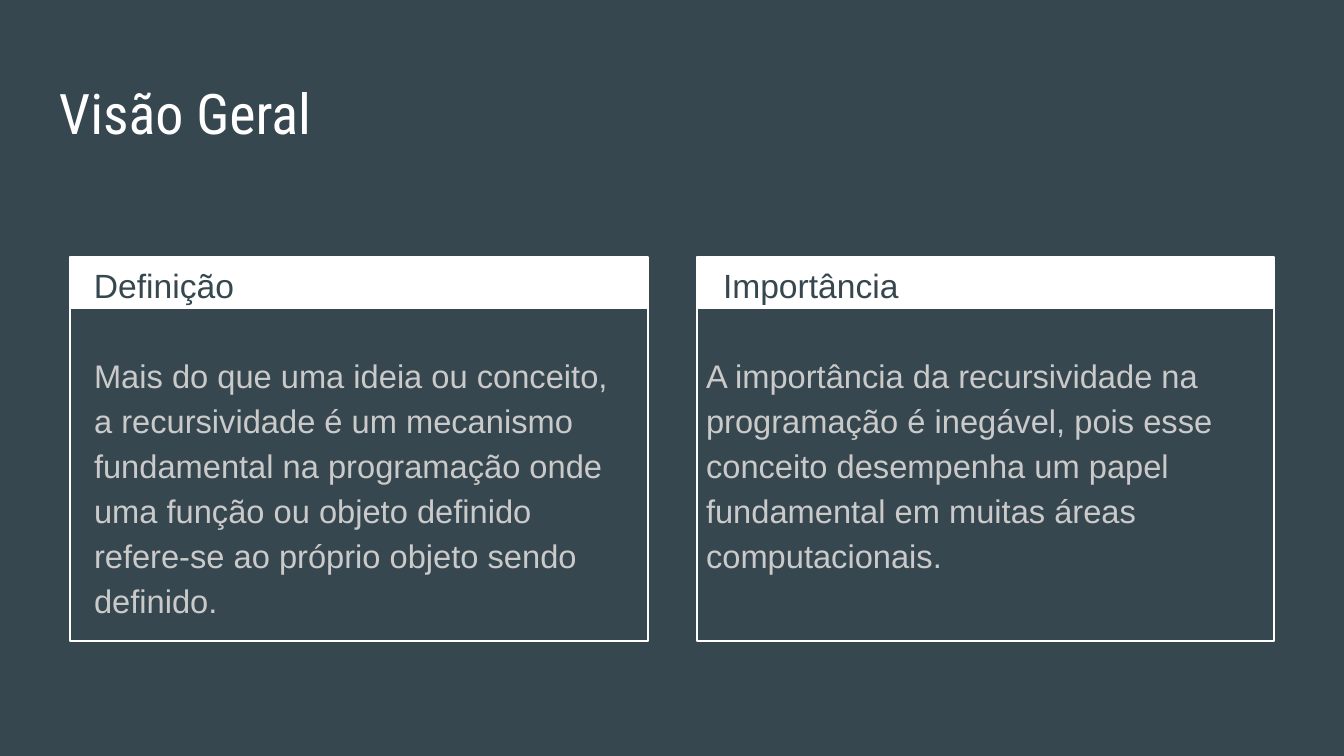
from pptx import Presentation
from pptx.dml.color import RGBColor
from pptx.enum.shapes import MSO_SHAPE
from pptx.enum.text import MSO_ANCHOR
from pptx.util import Emu, Pt

PX = 914400 / 134.4
COLORS = {"background": "37474F", "white": "FFFFFF", "body": "CACACA"}

TITLE = "Visão Geral"
# The x positions and widths are in px.
CARDS = [
    {
        "heading": "Definição",
        "body": "Mais do que uma ideia ou conceito, a recursividade é um mecanismo "
                "fundamental na programação onde uma função ou objeto definido "
                "refere-se ao próprio objeto sendo definido.",
        "x": 70, "width": 578, "heading_x": 81, "heading_width": 367, "body_x": 81,
    },
    {
        "heading": "Importância",
        "body": "A importância da recursividade na programação é inegável, pois esse "
                "conceito desempenha um papel fundamental em muitas áreas "
                "computacionais.",
        "x": 697, "width": 577, "heading_x": 710, "heading_width": 491, "body_x": 693,
    },
]
CARD_TOP, CARD_HEIGHT, BAND_HEIGHT = 257, 384, 52
HEADING_HEIGHT = 50
BODY_TOP, BODY_WIDTH = 337, 566
INSET = 13


def px(length):
    return Emu(round(length * PX))


def color(name):
    return RGBColor.from_string(COLORS[name])


def add_text(slide, text, box, size, color_name, font="Arial",
             anchor=MSO_ANCHOR.TOP, line_spacing=None, space_after=None):
    frame = slide.shapes.add_textbox(*map(px, box)).text_frame
    frame.word_wrap = True
    frame.vertical_anchor = anchor
    frame.margin_left = frame.margin_right = px(INSET)
    frame.margin_top = frame.margin_bottom = px(INSET)
    paragraph = frame.paragraphs[0]
    paragraph.line_spacing = line_spacing
    paragraph.space_after = space_after
    run = paragraph.add_run()
    run.text = text
    run.font.size = Pt(size)
    run.font.name = font
    run.font.color.rgb = color(color_name)


def add_rectangle(group, x, width, height):
    rectangle = group.shapes.add_shape(
        MSO_SHAPE.RECTANGLE, px(x), px(CARD_TOP), px(width), px(height))
    rectangle.shadow.inherit = False
    return rectangle


def add_card(slide, card):
    group = slide.shapes.add_group_shape()
    band = add_rectangle(group, card["x"], card["width"], BAND_HEIGHT)
    band.fill.solid()
    band.fill.fore_color.rgb = color("white")
    band.line.fill.background()
    frame = add_rectangle(group, card["x"], card["width"], CARD_HEIGHT)
    frame.fill.background()
    frame.line.color.rgb = color("white")
    frame.line.width = Pt(0.75)

    add_text(slide, card["heading"],
             (card["heading_x"], CARD_TOP, card["heading_width"], HEADING_HEIGHT),
             18, "background", anchor=MSO_ANCHOR.MIDDLE, line_spacing=1.15)
    add_text(slide, card["body"],
             (card["body_x"], BODY_TOP, BODY_WIDTH, CARD_TOP + CARD_HEIGHT - BODY_TOP),
             17.5, "body", line_spacing=1.15, space_after=Pt(16))


def main():
    presentation = Presentation()
    presentation.slide_width, presentation.slide_height = px(1344), px(756)
    slide = presentation.slides.add_slide(presentation.slide_layouts[6])
    slide.background.fill.solid()
    slide.background.fill.fore_color.rgb = color("background")

    add_text(slide, TITLE, (46, 66, 1253, 85), 30, "white", font="Roboto Condensed")
    for card in CARDS:
        add_card(slide, card)
    presentation.save("out.pptx")


if __name__ == "__main__":
    main()
